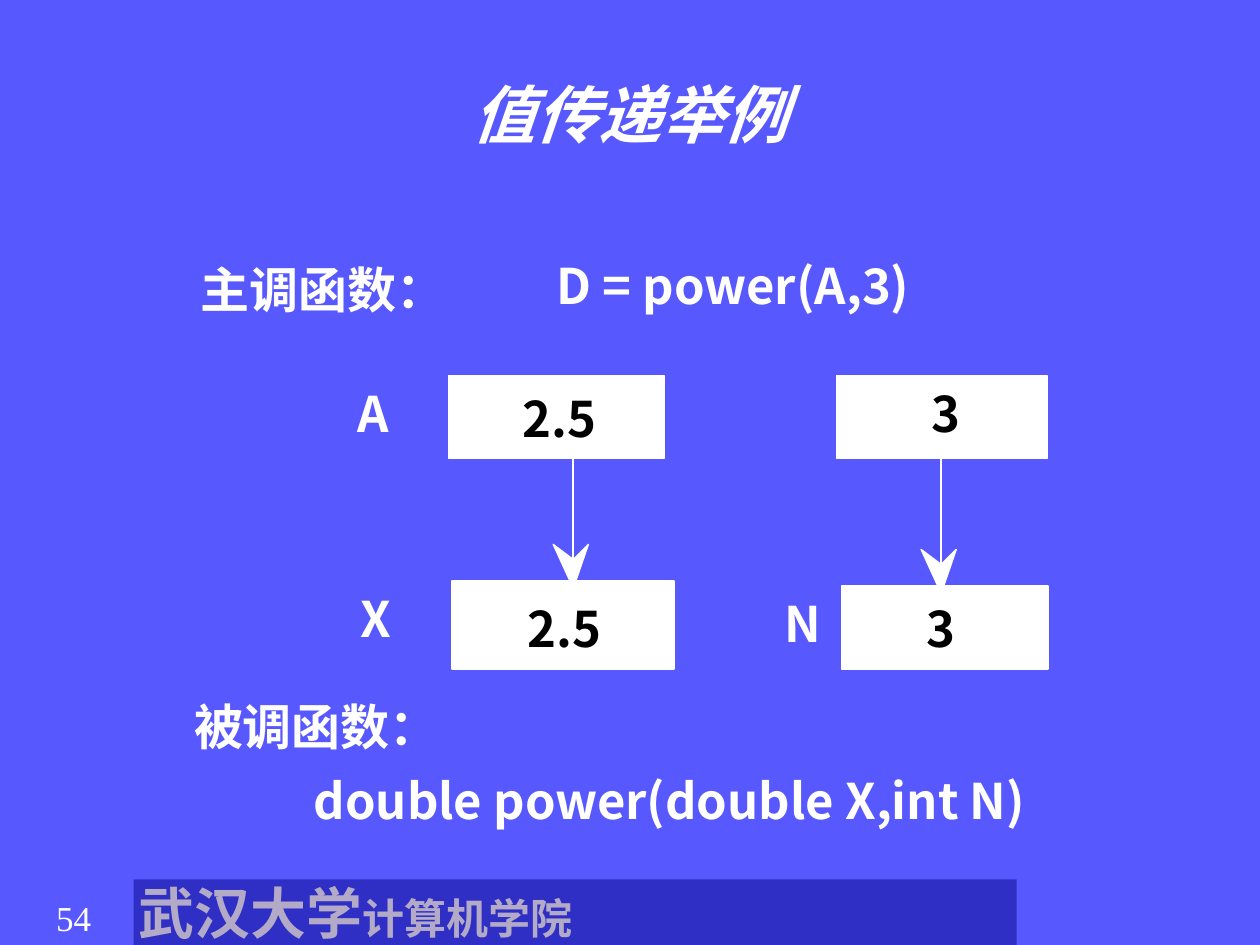
import pptx
import pptx.dml.color
import pptx.enum.shapes
import pptx.enum.text
import pptx.oxml
import pptx.oxml.ns
import pptx.util

Inches = pptx.util.Inches
Pt = pptx.util.Pt
ALIGN = pptx.enum.text.PP_ALIGN
ANCHOR = pptx.enum.text.MSO_ANCHOR
RGBColor = pptx.dml.color.RGBColor

BLUE = RGBColor(0x58, 0x58, 0xFF)
NAVY = RGBColor(0x2F, 0x2F, 0xC5)
LILAC = RGBColor(0xB3, 0xAA, 0xC8)
WHITE = RGBColor(0xFF, 0xFF, 0xFF)
BLACK = RGBColor(0x00, 0x00, 0x00)
SANS = "Noto Sans CJK SC"
SERIF = "Times New Roman"


class SlideBuilder:
    """Holds the style and the current slide."""

    def __init__(self, deck):
        self.page = deck.slides.add_slide(deck.slide_layouts[5])
        self.shapes = self.page.shapes
        self.page.background.fill.solid()
        self.page.background.fill.fore_color.rgb = BLUE

    def style(self, span, size, color, name=SANS, bold=True, italic=False):
        font = span.font
        font.size, font.name = Pt(size), name
        font.bold, font.italic = bold, italic
        font.color.rgb = color
        east_asian = pptx.oxml.parse_xml(
            f'<a:ea {pptx.oxml.ns.nsdecls("a")} typeface="{SANS}"/>')
        font._element.find(pptx.oxml.ns.qn("a:latin")).addnext(east_asian)

    def title(self, text, left, top, width, height):
        box = self.shapes.title
        box.left, box.top = Inches(left), Inches(top)
        box.width, box.height = Inches(width), Inches(height)
        frame = box.text_frame
        frame.text = text
        frame.auto_size = pptx.enum.text.MSO_AUTO_SIZE.NONE
        frame.vertical_anchor = ANCHOR.TOP
        para = frame.paragraphs[0]
        para.alignment = ALIGN.CENTER
        para.line_spacing = 0.9
        self.style(para.runs[0], 36, WHITE, SERIF, italic=True)

    def label(self, text, left, top, width, height=0.47, color=WHITE,
              size=28, name=SANS, bold=True, align=ALIGN.LEFT):
        box = self.shapes.add_textbox(
            Inches(left), Inches(top), Inches(width), Inches(height))
        frame = box.text_frame
        frame.text = text
        frame.word_wrap = False
        frame.vertical_anchor = ANCHOR.MIDDLE
        frame.margin_left = frame.margin_right = 0
        frame.margin_top = frame.margin_bottom = 0
        frame.paragraphs[0].alignment = align
        self.style(frame.paragraphs[0].runs[0], size, color, name, bold)

    def rectangle(self, left, top, width, height, fill=WHITE, line=WHITE):
        box = self.shapes.add_shape(
            pptx.enum.shapes.MSO_SHAPE.RECTANGLE,
            Inches(left), Inches(top), Inches(width), Inches(height))
        self.paint(box, fill, line, 1)
        return box

    def paint(self, box, fill, line, width):
        box.shadow.inherit = False
        box.fill.solid()
        box.fill.fore_color.rgb = fill
        if line is None:
            box.line.fill.background()
        else:
            box.line.color.rgb = line
            box.line.width = Pt(width)

    def arrow(self, x, top, tip):
        shaft = self.shapes.add_connector(
            pptx.enum.shapes.MSO_CONNECTOR.STRAIGHT,
            Inches(x), Inches(top), Inches(x), Inches(tip - 0.19))
        shaft.line.color.rgb = WHITE
        shaft.line.width = Pt(1)
        shaft._element.spPr.append(pptx.oxml.parse_xml(
            f'<a:effectLst {pptx.oxml.ns.nsdecls("a")}/>'))
        # Swept-back head, drawn from its tip
        outline = self.shapes.build_freeform(Inches(x), Inches(tip))
        outline.add_line_segments(
            [(Inches(x + dx), Inches(tip + dy))
             for dx, dy in ((-0.16, -0.35), (0, -0.23), (0.12, -0.35))],
            close=True)
        self.paint(outline.convert_to_shape(), WHITE, WHITE, 0.75)

    def footer(self, spans, left, top, width, height):
        bar = self.rectangle(left, top, width, height, NAVY, None)
        frame = bar.text_frame
        frame.margin_left = frame.margin_right = Inches(0.04)
        frame.margin_top = frame.margin_bottom = 0
        frame.vertical_anchor = ANCHOR.MIDDLE
        para = frame.paragraphs[0]
        para.alignment = ALIGN.LEFT
        for text, size in spans:
            span = para.add_run()
            span.text = text
            self.style(span, size, LILAC)


def main():
    deck = pptx.Presentation()
    deck.slide_width, deck.slide_height = Inches(10), Inches(7.5)
    slide = SlideBuilder(deck)

    # Page number, footer and title
    slide.label("54", 0.17, 7.07, 0.83, 0.43, size=20, name=SERIF,
                bold=False, align=ALIGN.CENTER)
    slide.footer([("武汉大学", 32), ("计算机学院", 24)], 1.06, 6.98, 7.01, 0.52)
    slide.title("值传递举例", 0.5, 0.62, 9, 1.17)

    # Arrows from arguments to parameters
    slide.arrow(4.55, 3.46, 4.67)
    slide.arrow(7.47, 3.5, 4.71)

    # Memory cells: box, then value with its left, top and width
    cells = [
        ((3.56, 2.98, 1.71, 0.66), "2.5", (4.15, 3.08, 0.62)),
        ((6.64, 2.98, 1.67, 0.66), "3", (7.39, 3.04, 0.24)),
        ((3.59, 4.61, 1.76, 0.7), "2.5", (4.19, 4.75, 0.62)),
        ((6.68, 4.65, 1.64, 0.66), "3", (7.35, 4.75, 0.24)),
    ]
    for cell, value, place in cells:
        slide.rectangle(*cell)
        slide.label(value, *place, color=BLACK)

    # Variable names, headings and code
    labels = [
        ("主调函数：", 1.59, 2.06, 1.96),
        ("D = power(A,3)", 4.42, 2.03, 3.06),
        ("A", 2.84, 3.04, 0.3),
        ("X", 2.86, 4.67, 0.28),
        ("N", 6.23, 4.71, 0.33),
        ("被调函数：", 1.54, 5.53, 1.96),
        ("double power(double X,int N)", 2.49, 6.11, 5.93),
    ]
    for label in labels:
        slide.label(*label)

    deck.save("out.pptx")


if __name__ == "__main__":
    main()
